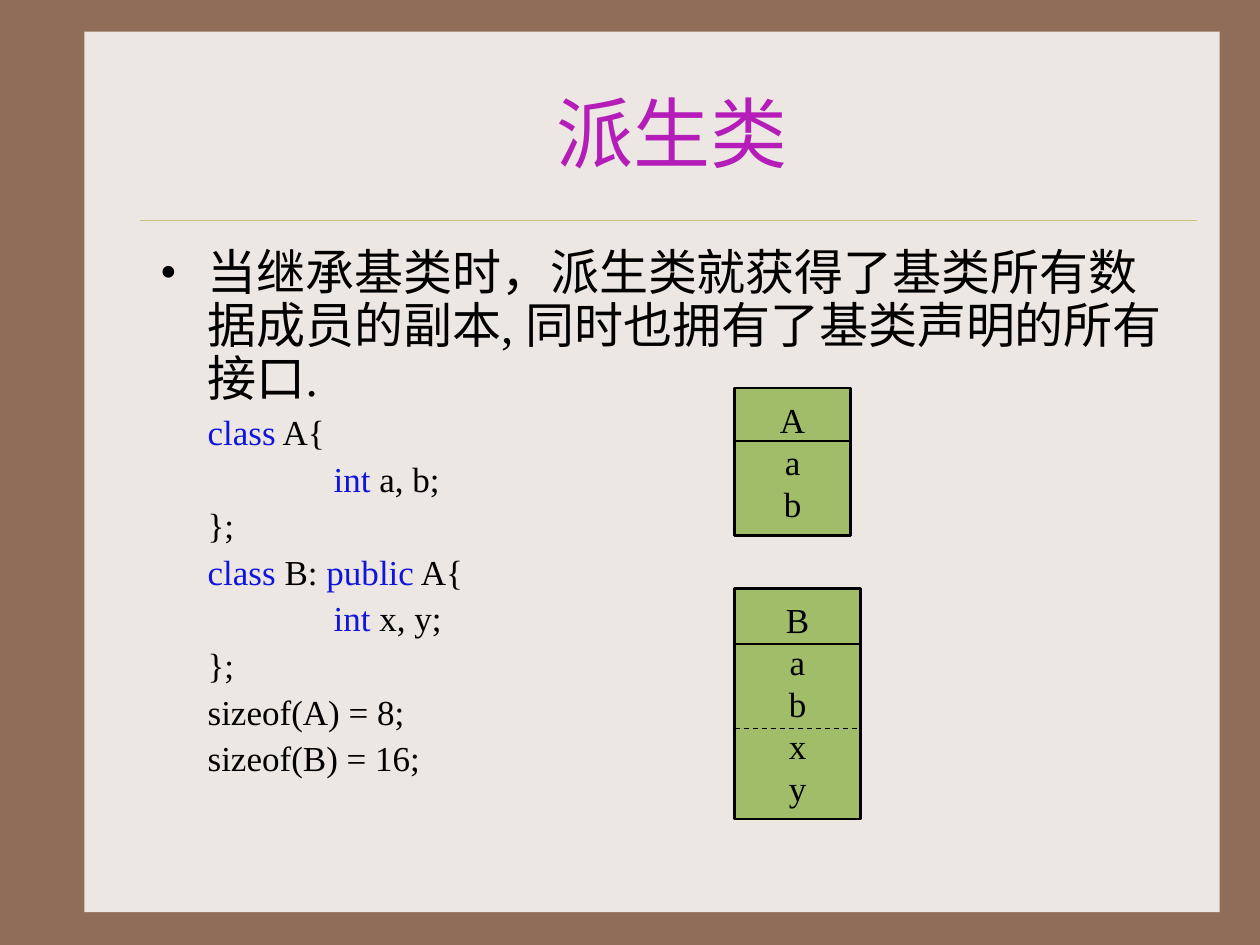
from pptx import Presentation
from pptx.dml.color import RGBColor
from pptx.enum.dml import MSO_LINE
from pptx.enum.shapes import MSO_CONNECTOR, MSO_SHAPE
from pptx.enum.text import MSO_ANCHOR, PP_ALIGN
from pptx.oxml.ns import qn
from pptx.util import Inches, Pt
from lxml.etree import SubElement

COLORS = {
    "border": "906D58",
    "page": "EDE7E3",
    "rule": "CBBD83",
    "title": "B51DB9",
    "text": "000000",
    "keyword": "1015DC",
    "box": "A1BD69",
}
FONT = "Times New Roman"
LEAD = "当继承基类时，派生类就获得了基类所有数据成员的副本, 同时也拥有了基类声明的所有接口."
CODE = [
    (0, "class A{"),
    (1, "int a, b;"),
    (0, "};"),
    (0, "class B: public A{"),
    (1, "int x, y;"),
    (0, "};"),
    (0, "sizeof(A) = 8;"),
    (0, "sizeof(B) = 16;"),
]
KEYWORDS = {"class", "int", "public"}
HANGING = 0.38


def rgb(name):
    return RGBColor.from_string(COLORS[name])


def set_format(obj, values):
    for name, value in values.items():
        setattr(obj, name, value)


def add_run(p, text, size, color="text"):
    r = p.add_run()
    r.text = text
    set_format(r.font, {"name": FONT, "size": Pt(size)})
    r.font.color.rgb = rgb(color)


def add_rect(shapes, left, top, width, height, fill):
    sp = shapes.add_shape(MSO_SHAPE.RECTANGLE, Inches(left), Inches(top),
                          Inches(width), Inches(height))
    sp.shadow.inherit = False
    sp.fill.solid()
    sp.fill.fore_color.rgb = rgb(fill)
    sp.line.fill.background()
    return sp


def add_line(shapes, left, top, width, color, weight, dash=None):
    line = shapes.add_connector(MSO_CONNECTOR.STRAIGHT, Inches(left), Inches(top),
                                Inches(left + width), Inches(top))
    SubElement(line._element.spPr, qn("a:effectLst"))
    line.line.color.rgb = rgb(color)
    set_format(line.line, {"width": Pt(weight), "dash_style": dash})


def add_title(s, text):
    title = s.shapes.title
    set_format(title, {"left": Inches(1.17), "top": Inches(0.42),
                       "width": Inches(8.33), "height": Inches(1.25)})
    tf = title.text_frame
    tf.vertical_anchor = MSO_ANCHOR.MIDDLE
    p = tf.paragraphs[0]
    p.alignment = PP_ALIGN.CENTER
    add_run(p, text, 44, "title")


def set_indent(p, margin, first=0):
    pPr = p._p.get_or_add_pPr()
    pPr.set("marL", str(Inches(margin)))
    pPr.set("indent", str(Inches(first)))
    return pPr


def add_bullet(p, text):
    set_format(p, {"line_spacing": 0.9, "space_before": Pt(7)})
    pPr = set_indent(p, HANGING, -HANGING)
    SubElement(pPr, qn("a:buFont"), typeface=FONT)
    SubElement(pPr, qn("a:buChar"), char="•")
    add_run(p, text, 28)


def add_code_line(p, level, text):
    set_format(p, {"line_spacing": 0.9, "space_before": Pt(5)})
    set_indent(p, HANGING + level)
    words = text.split(" ")
    for i, word in enumerate(words):
        gap = " " if i < len(words) - 1 else ""
        if word in KEYWORDS:
            add_run(p, word, 20, "keyword")
            add_run(p, gap, 20)
        else:
            add_run(p, word + gap, 20)


def add_body(s):
    box = s.shapes.add_textbox(Inches(1.17), Inches(1.92), Inches(8.33), Inches(4.9))
    tf = box.text_frame
    tf.word_wrap = True
    add_bullet(tf.paragraphs[0], LEAD)
    for level, text in CODE:
        add_code_line(tf.add_paragraph(), level, text)


def add_class_box(s, top, width, height, members, dividers):
    left = 5.83
    group = s.shapes.add_group_shape()
    sp = add_rect(group.shapes, left, top, width, height, "box")
    sp.line.color.rgb = rgb("text")
    sp.line.width = Pt(1.5)
    tf = sp.text_frame
    set_format(tf, {"word_wrap": False, "vertical_anchor": MSO_ANCHOR.MIDDLE})
    for i, member in enumerate(members):
        p = tf.add_paragraph() if i else tf.paragraphs[0]
        p.alignment = PP_ALIGN.CENTER
        add_run(p, member, 20)
    for y, weight, dash in dividers:
        add_line(group.shapes, left, y, width, "text", weight, dash)


def main():
    prs = Presentation()
    set_format(prs, {"slide_width": Inches(10), "slide_height": Inches(7.5)})
    s = prs.slides.add_slide(prs.slide_layouts[5])
    s.background.fill.solid()
    s.background.fill.fore_color.rgb = rgb("border")
    page = add_rect(s.shapes, 0.67, 0.25, 9.01, 6.99, "page")
    s.shapes._spTree.insert(2, page._element)
    add_line(s.shapes, 1.11, 1.75, 8.39, "rule", 0.25)
    add_title(s, "派生类")
    add_body(s)
    add_class_box(s, 3.08, 0.92, 1.17, "Aab", [(3.5, 1.5, None)])
    add_class_box(s, 4.67, 1, 1.83, "Babxy",
                  [(5.11, 1.5, None), (5.78, 0.75, MSO_LINE.DASH)])
    prs.save("out.pptx")


if __name__ == "__main__":
    main()
